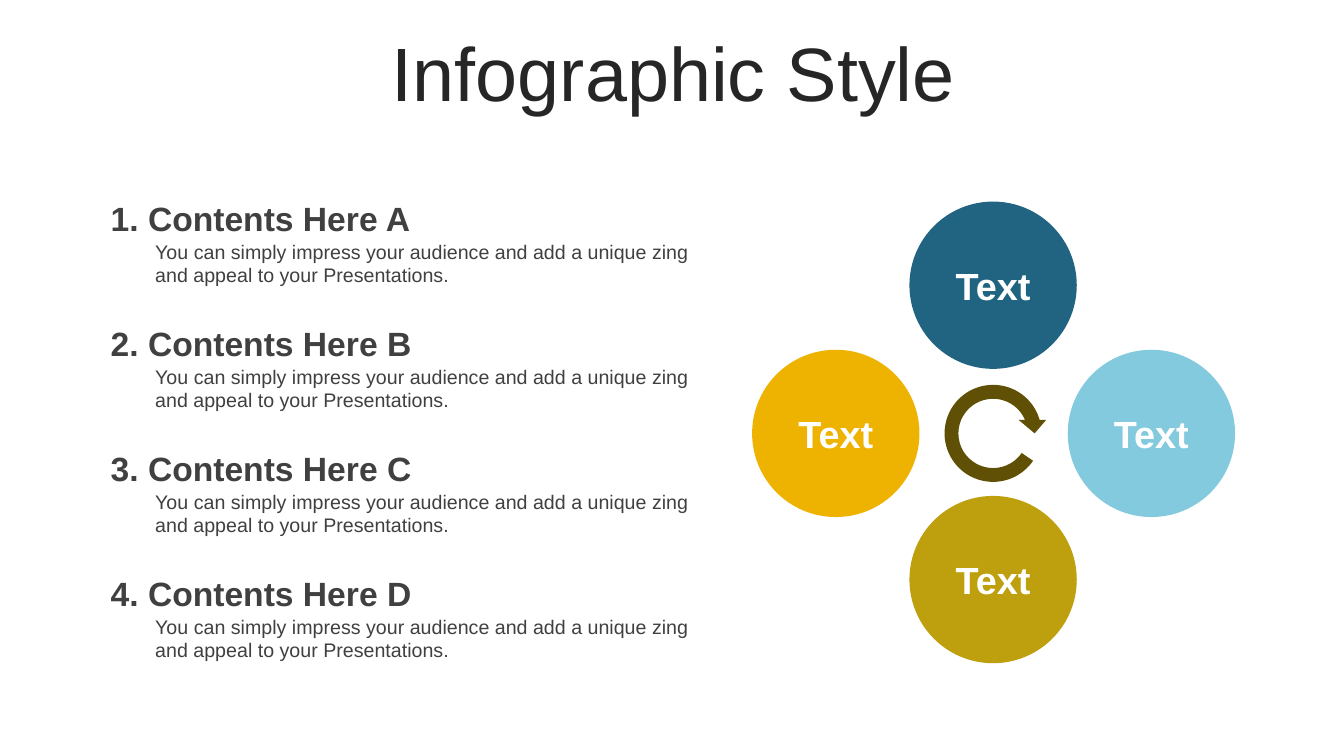
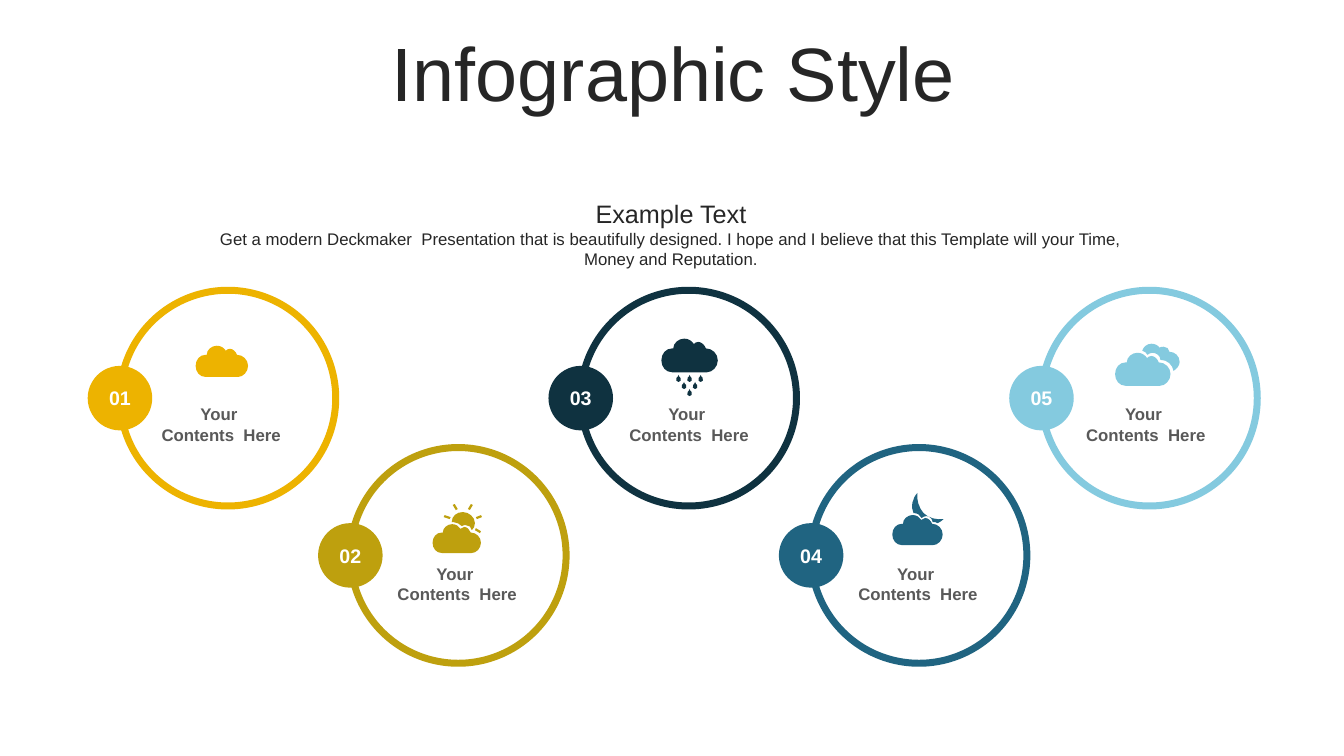
from dataclasses import dataclass

from lxml.etree import SubElement
from pptx import Presentation
from pptx.dml.color import RGBColor
from pptx.enum.shapes import MSO_SHAPE
from pptx.enum.text import MSO_ANCHOR, MSO_AUTO_SIZE, PP_ALIGN
from pptx.oxml.ns import qn
from pptx.shapes.autoshape import Shape
from pptx.slide import Slide
from pptx.text.text import TextFrame
from pptx.util import Inches, Pt

Point = tuple[float, float]
# A start point, then lines (x, y) and cubic curves (three points in a row).
Outline = list[tuple[float, ...]]

FONT = "Arial"
WHITE = "FFFFFF"
YELLOW = "EDB300"
OLIVE = "BEA00E"
NAVY = "0F3240"
BLUE = "206481"
SKY = "84CADF"
BROWN = "5F5006"
TITLE_INK = "262626"
BODY_INK = "404040"
CAPTION_INK = "595959"

TITLE = "Infographic Style"
DESCRIPTION = (
    "You can simply impress your audience and add a unique zing "
    "and appeal to your Presentations."
)
INTRODUCTION = (
    "Get a modern Deckmaker  Presentation that is beautifully designed. "
    "I hope and I believe that this Template will your Time, Money and Reputation."
)


@dataclass(frozen=True)
class Line:
    text: str
    size: float
    color: str
    bold: bool = False


@dataclass(frozen=True)
class Petal:
    center: Point
    color: str


@dataclass(frozen=True)
class Step:
    color: str
    caption_left: float
    icon: list[Outline]


def rgb(color: str) -> RGBColor:
    return RGBColor.from_string(color)


def write(frame: TextFrame, lines: list[Line], align: PP_ALIGN) -> None:
    for index, line in enumerate(lines):
        paragraph = frame.paragraphs[0] if index == 0 else frame.add_paragraph()
        paragraph.text = line.text
        paragraph.alignment = align
        paragraph.font.name = FONT
        paragraph.font.size = Pt(line.size)
        paragraph.font.bold = line.bold
        paragraph.font.color.rgb = rgb(line.color)


def set_margins(frame: TextFrame, horizontal: float, vertical: float) -> None:
    frame.margin_left = frame.margin_right = Inches(horizontal)
    frame.margin_top = frame.margin_bottom = Inches(vertical)


def add_text(
    slide: Slide,
    left: float,
    top: float,
    width: float,
    height: float,
    lines: list[Line],
    align: PP_ALIGN = PP_ALIGN.CENTER,
) -> TextFrame:
    box = slide.shapes.add_textbox(
        Inches(left), Inches(top), Inches(width), Inches(height)
    )
    frame = box.text_frame
    frame.word_wrap = True
    write(frame, lines, align)
    return frame


def paint(shape: Shape, color: str) -> None:
    shape.shadow.inherit = False
    shape.fill.solid()
    shape.fill.fore_color.rgb = rgb(color)
    shape.line.fill.background()


def add_centered(
    slide: Slide, kind: MSO_SHAPE, center: Point, size: float, color: str
) -> Shape:
    x, y = center
    shape = slide.shapes.add_shape(
        kind, Inches(x - size / 2), Inches(y - size / 2), Inches(size), Inches(size)
    )
    paint(shape, color)
    return shape


def add_labelled_circle(
    slide: Slide, center: Point, size: float, color: str, label: Line
) -> None:
    circle = add_centered(slide, MSO_SHAPE.OVAL, center, size, color)
    frame = circle.text_frame
    set_margins(frame, 0, 0)
    frame.vertical_anchor = MSO_ANCHOR.MIDDLE
    write(frame, [label], PP_ALIGN.CENTER)


def split_points(segment: tuple[float, ...]) -> list[Point]:
    return list(zip(segment[::2], segment[1::2]))


def place(outline: Outline, left: float, top: float, scale: float = 1) -> Outline:
    return [
        tuple(
            value
            for x, y in split_points(segment)
            for value in (left + x * scale, top + y * scale)
        )
        for segment in outline
    ]


def bend_curves(shape: Shape, outlines: list[Outline]) -> None:
    """Join the three straight lines that stand for each curve into that curve."""
    lines = iter(list(shape.element.iter(qn("a:lnTo"))))
    for outline in outlines:
        for segment in outline[1:]:
            first = next(lines)
            if len(segment) == 2:
                continue
            parent = first.getparent()
            curve = SubElement(parent, qn("a:cubicBezTo"))
            first.addprevious(curve)
            for line in (first, next(lines), next(lines)):
                curve.append(line[0])
                parent.remove(line)


def add_icon(slide: Slide, outlines: list[Outline], color: str) -> None:
    builder = None
    for outline in outlines:
        start, *points = [
            (Inches(x), Inches(y)) for part in outline for x, y in split_points(part)
        ]
        if builder is None:
            builder = slide.shapes.build_freeform(*start)
        else:
            builder.move_to(*start)
        builder.add_line_segments(points, close=True)
    shape = builder.convert_to_shape()
    bend_curves(shape, outlines)
    paint(shape, color)


CLOUD_WIDTH = 0.52
CLOUD = [
    (0.21, 0),
    (0.25, 0, 0.28, 0.02, 0.3, 0.05),
    (0.31, 0.04, 0.32, 0.03, 0.34, 0.03),
    (0.37, 0.03, 0.4, 0.06, 0.41, 0.09),
    (0.47, 0.09, 0.52, 0.14, 0.52, 0.2),
    (0.52, 0.26, 0.47, 0.31, 0.42, 0.31),
    (0.1, 0.31),
    (0.04, 0.31, 0, 0.26, 0, 0.2),
    (0, 0.14, 0.04, 0.09, 0.1, 0.09),
    (0.11, 0.09),
    (0.11, 0.04, 0.16, 0, 0.21, 0),
]
DROP = [
    (0, 0),
    (0, 0.01, 0.01, 0.02, 0.02, 0.03),
    (0.03, 0.05, 0.02, 0.07, 0, 0.07),
    (-0.02, 0.07, -0.03, 0.05, -0.02, 0.03),
    (-0.01, 0.02, 0, 0.01, 0, 0),
]
RAIN = [
    place(DROP, 6.84 + 0.11 * (column - (2 - row) / 2), 3.72 + 0.07 * row)
    for row in range(3)
    for column in range(3 - row)
]
SUN = [
    (4.59, 5.08),
    (4.65, 5.08, 4.71, 5.13, 4.71, 5.19),
    (4.71, 5.22, 4.7, 5.24, 4.68, 5.26),
    (4.68, 5.23, 4.65, 5.21, 4.62, 5.21),
    (4.6, 5.21, 4.59, 5.21, 4.58, 5.22),
    (4.56, 5.2, 4.53, 5.18, 4.5, 5.18),
    (4.48, 5.18),
    (4.48, 5.12, 4.53, 5.08, 4.59, 5.08),
]
SUN_RAYS = [
    [(4.72, 5.24), (4.77, 5.27), (4.76, 5.29), (4.71, 5.26)],
    [(4.77, 5.11), (4.78, 5.13), (4.73, 5.15), (4.72, 5.13)],
    [(4.41, 5.11), (4.47, 5.13), (4.46, 5.15), (4.4, 5.13)],
    [(4.67, 5), (4.69, 5.01), (4.66, 5.06), (4.64, 5.05)],
    [(4.51, 5), (4.54, 5.05), (4.52, 5.06), (4.49, 5.01)],
]
MOON = [
    (9.1, 4.89),
    (9.09, 4.96, 9.11, 5.03, 9.16, 5.09),
    (9.21, 5.14, 9.29, 5.16, 9.36, 5.15),
    (9.34, 5.17, 9.32, 5.18, 9.3, 5.19),
    (9.29, 5.18, 9.27, 5.18, 9.25, 5.18),
    (9.25, 5.15, 9.22, 5.12, 9.19, 5.12),
    (9.17, 5.12, 9.15, 5.13, 9.14, 5.14),
    (9.13, 5.11, 9.1, 5.09, 9.06, 5.09),
    (9.03, 5.03, 9.05, 4.94, 9.1, 4.89),
]
BACK_CLOUD = [
    (11.42, 3.41),
    (11.46, 3.41, 11.49, 3.43, 11.5, 3.45),
    (11.51, 3.44, 11.52, 3.44, 11.54, 3.44),
    (11.57, 3.44, 11.6, 3.46, 11.6, 3.49),
    (11.65, 3.49, 11.7, 3.53, 11.7, 3.59),
    (11.7, 3.63, 11.67, 3.66, 11.64, 3.68),
    (11.63, 3.62, 11.58, 3.57, 11.51, 3.57),
    (11.51, 3.53, 11.47, 3.5, 11.43, 3.5),
    (11.41, 3.5, 11.4, 3.51, 11.38, 3.52),
    (11.37, 3.5, 11.36, 3.49, 11.33, 3.48),
    (11.34, 3.44, 11.38, 3.41, 11.42, 3.41),
]


def cloud(left: float, top: float, width: float) -> Outline:
    return place(CLOUD, left, top, width / CLOUD_WIDTH)


HUB = (9.85, 4.3)
PETALS = [
    Petal((9.85, 2.83), BLUE),
    Petal((9.85, 5.75), OLIVE),
    Petal((8.29, 4.3), YELLOW),
    Petal((11.42, 4.3), SKY),
]
STEPS = [
    Step(YELLOW, 1.38, [cloud(1.94, 3.43, 0.52)]),
    Step(OLIVE, 3.72, [cloud(4.29, 5.2, 0.48), SUN, *SUN_RAYS]),
    Step(NAVY, 6.02, [cloud(6.56, 3.36, 0.56), *RAIN]),
    Step(BLUE, 8.29, [cloud(8.85, 5.11, 0.5), MOON]),
    Step(SKY, 10.55, [cloud(11.06, 3.5, 0.55), BACK_CLOUD]),
]


def add_titled_slide(presentation: Presentation) -> Slide:
    slide = presentation.slides.add_slide(presentation.slide_layouts[5])
    title = slide.shapes.title
    title.left, title.top = Inches(0.35), Inches(0.37)
    title.width, title.height = Inches(12.66), Inches(0.79)
    frame = title.text_frame
    frame.auto_size = MSO_AUTO_SIZE.NONE
    frame.vertical_anchor = MSO_ANCHOR.MIDDLE
    write(frame, [Line(TITLE, 54, TITLE_INK)], PP_ALIGN.CENTER)
    frame.paragraphs[0].line_spacing = 0.9
    return slide


def build_cycle_slide(presentation: Presentation) -> None:
    slide = add_titled_slide(presentation)
    label = Line("Text", 27, WHITE, True)
    for petal in PETALS:
        add_labelled_circle(slide, petal.center, 1.66, petal.color, label)
    arrow = add_centered(slide, MSO_SHAPE.CIRCULAR_ARROW, HUB, 1.1, BROWN)
    for index, value in enumerate((0.125, 11.42, 204.58, 20.65, 0.125)):
        arrow.adjustments[index] = value

    for index, letter in enumerate("ABCD"):
        top = 1.91 + 1.24 * index
        detail = [Line(DESCRIPTION, 14, BODY_INK)]
        frame = add_text(slide, 1.46, top + 0.42, 5.57, 0.57, detail, PP_ALIGN.LEFT)
        set_margins(frame, 0.08, 0.05)
        heading = [Line(f"{index + 1}. Contents Here {letter}", 24, BODY_INK, True)]
        add_text(slide, 1, top, 6.04, 0.5, heading, PP_ALIGN.LEFT)


def build_weather_slide(presentation: Presentation) -> None:
    slide = add_titled_slide(presentation)
    ring_size, first_left, last_left = 2.14, 1.19, 10.33
    pitch = (last_left - first_left) / (len(STEPS) - 1)
    caption = [Line(text, 12, CAPTION_INK, True) for text in ("Your ", "Contents  Here")]
    for index, step in enumerate(STEPS):
        left = first_left + pitch * index
        center_y, caption_top = ((3.95, 3.96), (5.51, 5.54))[index % 2]
        center = (left + ring_size / 2, center_y)
        ring = add_centered(slide, MSO_SHAPE.OVAL, center, ring_size, WHITE)
        ring.line.color.rgb = rgb(step.color)
        ring.line.width = Pt(5)
        number = Line(f"{index + 1:02}", 14, WHITE, True)
        add_labelled_circle(slide, (left, center_y), 0.64, step.color, number)
        add_text(slide, step.caption_left, caption_top, 1.63, 0.5, caption)
        add_icon(slide, step.icon, step.color)
    introduction = [Line("Example Text", 18, TITLE_INK), Line(INTRODUCTION, 12, TITLE_INK)]
    add_text(slide, 1.87, 1.92, 9.57, 0.81, introduction)


def main() -> None:
    presentation = Presentation()
    presentation.slide_width, presentation.slide_height = Inches(13.33), Inches(7.5)
    build_cycle_slide(presentation)
    build_weather_slide(presentation)
    presentation.save("out.pptx")


if __name__ == "__main__":
    main()
